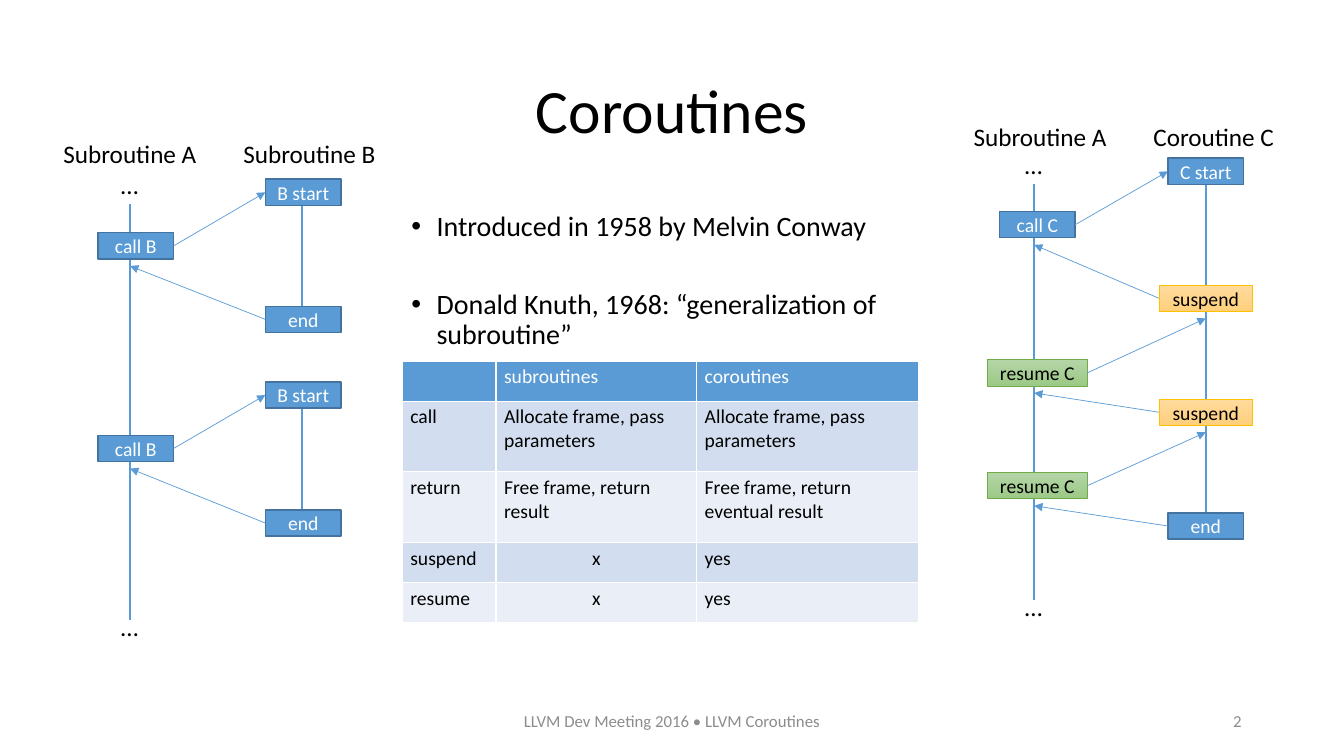
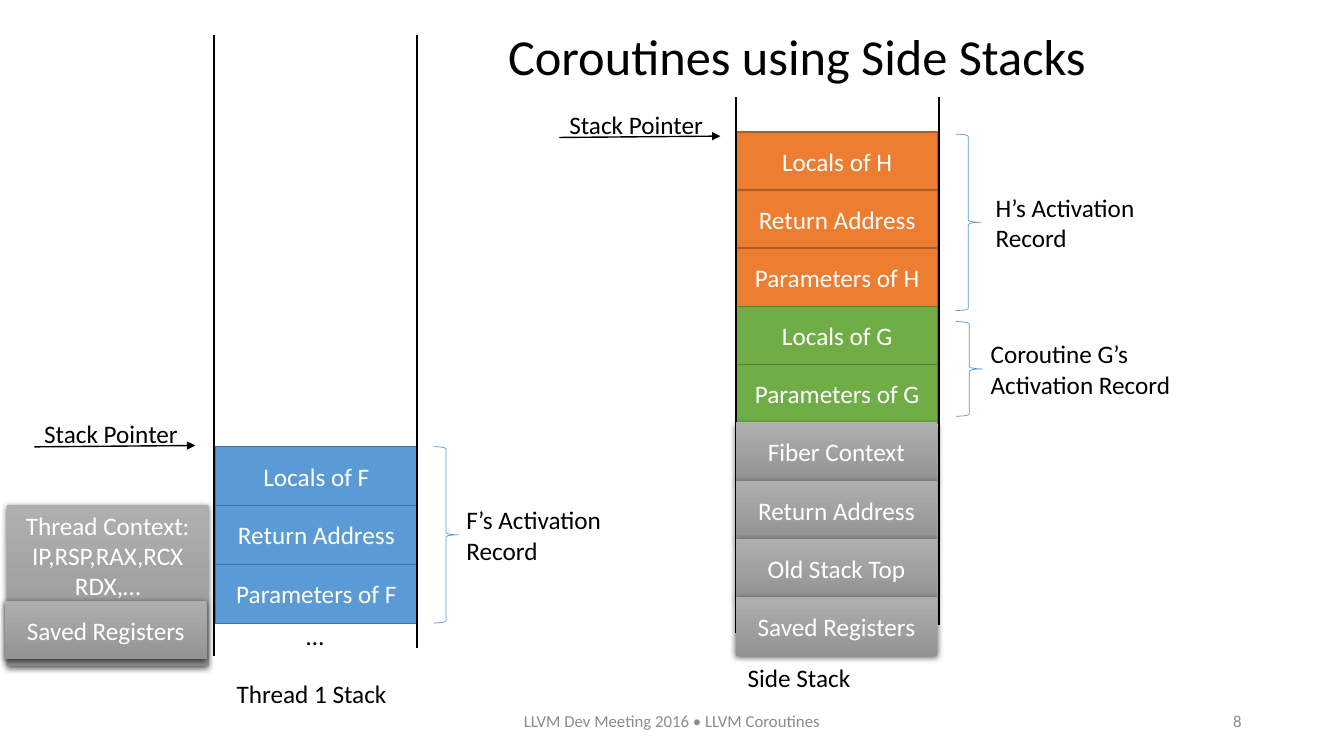
from lxml import etree
from pptx import Presentation
from pptx.dml.color import RGBColor
from pptx.enum import shapes, text
from pptx.oxml import ns
from pptx.util import Pt


class Theme:
    """Fonts, sizes and colours of the deck."""
    font = "Calibri"
    head, title, body, label, small, foot = 44, 36, 20, 18, 14, 12
    ink, white, dim, blue = "000000", "FFFFFF", "8C8C8C", "5B9BD5"
    bands = "D2DEEF", "EAEFF7"
    paint = {
        "blue": ((blue,), "43739E", 1, white),
        "orange": (("ED7D31",), "AF5C24", 1, white),
        "green": (("70AD47",), "538035", 1, white),
        "gold": (("FFDB9E", "FFD07C"), "FFC000", 0.5, ink),
        "leaf": (("B5D5A7", "9CC987"), "70AD47", 0.5, ink),
        "grey": (("AFAFAF", "939393"), None, 0, white),
    }


LEFT, MID, RIGHT = text.PP_ALIGN.LEFT, text.PP_ALIGN.CENTER, text.PP_ALIGN.RIGHT
TOP, CENTER = text.MSO_ANCHOR.TOP, text.MSO_ANCHOR.MIDDLE


def rgb(code):
    """Turn a hex code into a colour."""
    return RGBColor.from_string(code)


def add(node, tag, **attrs):
    """Append a drawing element with attributes."""
    return etree.SubElement(node, ns.qn("a:" + tag), {k: str(v) for k, v in attrs.items()})


def write(frame, words, size=Theme.label, color=Theme.ink, align=LEFT,
          anchor=TOP, wrap=True, lead=None):
    """Fill a text frame with formatted words."""
    frame.text = words
    frame.word_wrap = wrap
    frame.auto_size = text.MSO_AUTO_SIZE.NONE
    frame.vertical_anchor = anchor
    for para in frame.paragraphs:
        para.alignment = align
        if lead:
            para.line_spacing = lead
        for run in para.runs:
            run.font.name, run.font.size, run.font.bold = Theme.font, Pt(size), False
            run.font.color.rgb = rgb(color)


def place(item, box):
    """Move an item into a box."""
    item.left, item.top, item.width, item.height = map(Pt, box)


def label(slide, box, words, wrap=False, **form):
    """Add a text box."""
    item = slide.shapes.add_textbox(*map(Pt, box))
    write(item.text_frame, words, wrap=wrap, **form)


def rect(slide, box, words, kind, size=Theme.label, anchor=CENTER):
    """Add a painted box with centred words."""
    fills, edge, width, ink = Theme.paint[kind]
    item = slide.shapes.add_shape(shapes.MSO_SHAPE.RECTANGLE, *map(Pt, box))
    item.shadow.inherit = False
    if len(fills) == 1:
        item.fill.solid()
        item.fill.fore_color.rgb = rgb(fills[0])
    else:
        item.fill.gradient()
        item.fill.gradient_angle = 270
        for stop, code in zip(item.fill.gradient_stops, fills):
            stop.color.rgb = rgb(code)
    if edge:
        item.line.color.rgb, item.line.width = rgb(edge), Pt(width)
    else:
        item.line.fill.background()
        glow = add(item._element.spPr.find(ns.qn("a:effectLst")), "outerShdw",
                   blurRad=Pt(4.5), dist=Pt(1.5), dir=5400000, algn="ctr", rotWithShape=0)
        add(add(glow, "srgbClr", val=Theme.ink), "alpha", val=63000)
    write(item.text_frame, words, size=size, color=ink, align=MID, anchor=anchor, wrap=False)


def line(slide, start, end, color=Theme.blue, width=1.5, arrow=False):
    """Draw a line, with an arrowhead at its end if asked."""
    item = slide.shapes.add_connector(shapes.MSO_CONNECTOR.STRAIGHT, *map(Pt, start + end))
    item.line.color.rgb, item.line.width = rgb(color), Pt(width)
    if arrow:
        add(item.line._get_or_add_ln(), "tailEnd", type="triangle")
    add(item._element.spPr, "effectLst")


def footer(slide, page):
    """Add the footer and page number."""
    form = dict(size=Theme.foot, color=Theme.dim, anchor=CENTER, wrap=True)
    label(slide, (318, 500.4, 324, 28.8), "LLVM Dev Meeting 2016 • LLVM Coroutines", align=MID, **form)
    label(slide, (678, 500.4, 216, 28.8), str(page), align=RIGHT, **form)


def start(deck, layout, box, words, page, **form):
    """Begin a slide with its title and footer."""
    slide = deck.slides.add_slide(deck.slide_layouts[layout])
    place(slide.shapes.title, box)
    write(slide.shapes.title.text_frame, words, **form)
    footer(slide, page)
    return slide


def points(slide, box, words):
    """Fill the body placeholder with bullets."""
    body = slide.placeholders[1]
    place(body, box)
    write(body.text_frame, "\n".join(words), size=Theme.body, lead=0.9)
    for para, gap in zip(body.text_frame.paragraphs, (10, 34)):
        para.space_before = Pt(gap)
        props = para._p.get_or_add_pPr()
        props.set("marL", str(Pt(18)))
        props.set("indent", str(Pt(-18)))


def grid(slide, spot, cols, rows, data):
    """Add a banded table."""
    box = (*spot, sum(cols), sum(rows))
    table = slide.shapes.add_table(len(rows), len(cols), *map(Pt, box)).table
    for col, width in zip(table.columns, cols):
        col.width = Pt(width)
    for r, (height, words) in enumerate(zip(rows, data)):
        table.rows[r].height = Pt(height)
        for c, word in enumerate(words):
            cell = table.cell(r, c)
            cell.margin_left = cell.margin_right = Pt(5.8)
            cell.margin_top = cell.margin_bottom = Pt(2.9)
            cell.fill.solid()
            cell.fill.fore_color.rgb = rgb(Theme.bands[(r - 1) % 2] if r else Theme.blue)
            write(cell.text_frame, word, size=Theme.small,
                  color=Theme.ink if r else Theme.white, align=MID if word == "x" else LEFT)


def flow(slide, spot, heads, shift, mids, nodes):
    """Draw two timelines, their steps and the jumps between them."""
    x, y = spot
    rails = x + 54.7, x + 177.3
    tall, gap = 18.7, 5
    styles = {"suspend": ("gold", 67), "resume": ("leaf", 71.3)}
    line(slide, (rails[0], y + 51), (rails[0], y + 348))
    highs, lows = ([y + top for _, word, top in nodes if word.split()[-1] == key]
                   for key in ("start", "end"))
    for high, low in zip(highs, lows):
        line(slide, (rails[1], high + tall), (rails[1], low))
    for dx, word in zip((0, 128.5), heads):
        label(slide, (x + shift[0] + dx, y + shift[1], 110.5, 28.8), word)
    for dy in (22.3, 338.4):
        label(slide, (x + 41, y + dy, 27.4, 28.8), "…")
    last = {}
    for side, word, top in nodes:
        verb = word.split()[0]
        kind, wide = styles.get(verb, ("blue", 54))
        left, top = x + mids[side] - wide / 2, y + top
        rect(slide, (left, top, wide, tall), word, kind, Theme.small)
        mid = top + tall / 2
        edge = left if side else left + wide
        if "start" in word:
            line(slide, last[0][:2], (edge, mid), width=0.5, arrow=True)
        elif verb != "call":
            other = 1 - side
            line(slide, (edge, mid), (rails[other], last[other][2] + gap), width=0.5, arrow=True)
        last[side] = edge, mid, top + tall


def block(slide, x, y, pitch, kind, names):
    """Stack equal cells downwards."""
    for i, name in enumerate(names):
        rect(slide, (x, y + i * pitch, 144, 42), name, kind)


def walls(slide, x, top, ends):
    """Draw the two sides of a stack."""
    for i, end in enumerate(ends):
        line(slide, (x + i * 145, top), (x + i * 145, end), color=Theme.ink)


def note(slide, box, words, gap, wide):
    """Add a brace and the words it points at."""
    x, y, width, height = box
    brace = slide.shapes.add_shape(shapes.MSO_SHAPE.RIGHT_BRACE, *map(Pt, box))
    brace.shadow.inherit = False
    brace.fill.background()
    brace.line.color.rgb, brace.line.width = rgb(Theme.blue), Pt(0.5)
    label(slide, (x + width + gap, y + height / 2 - 25.5, wide, 51), words, anchor=CENTER)


def pointer(slide, x, y):
    """Draw the stack pointer arrow under its name."""
    label(slide, (x, y, 111, 28.8), "Stack Pointer")
    line(slide, (x, y + 24), (x + 115, y + 23), color=Theme.ink, width=1, arrow=True)


def intro(deck):
    """Build the slide that compares subroutines and coroutines."""
    slide = start(deck, 1, (66, 28.8, 828, 104.4), "Coroutines", 2,
                  size=Theme.head, align=MID, anchor=CENTER, lead=0.9)
    flow(slide, (38.2, 95), ("Subroutine A", "Subroutine B"), (0, 0), (58.8, 178.4), [
        (0, "call B", 71.3), (1, "B start", 33), (1, "end", 123.8),
        (0, "call B", 216), (1, "B start", 177.8), (1, "end", 269.3)])
    flow(slide, (684, 80.6), ("Subroutine A", "Coroutine C"), (4.3, 2.2), (57, 177.3), [
        (0, "call C", 70.6), (1, "C start", 32.4), (1, "suspend", 123.1),
        (0, "resume C", 176.4), (1, "suspend", 204.5), (0, "resume C", 257),
        (1, "end", 285.8)])
    points(slide, (286.6, 148.3, 365, 75.6), [
        "Introduced in 1958 by Melvin Conway",
        "Donald Knuth, 1968: “generalization of subroutine”"])
    grid(slide, (287.3, 257.8), (67, 143.3, 158.4), (28.8, 50.4, 50.4, 28.8, 28.8), [
        ("", "subroutines", "coroutines"),
        ("call", "Allocate frame, pass parameters", "Allocate frame, pass parameters"),
        ("return", "Free frame, return result", "Free frame, return eventual result"),
        ("suspend", "x", "yes"),
        ("resume", "x", "yes")])


def stacks(deck):
    """Build the slide with the thread stack and the side stack."""
    slide = start(deck, 5, (355.7, 14.4, 550, 51), "Coroutines using Side Stacks", 8,
                  size=Theme.title)
    block(slide, 154, 319, 42.1, "blue", ("Locals of F", "Return Address", "Parameters of F"))
    walls(slide, 153, 25.2, (468.7, 463))
    note(slide, (309.6, 319, 18, 126), "F’s Activation\nRecord", -1.5, 111.6)
    label(slide, (211.7, 439.2, 27.4, 28.8), "…")
    label(slide, (162, 481, 122.4, 28.8), "Thread 1 Stack")
    pointer(slide, 24.5, 295.2)

    x, y, pitch = 526, 94.3, 41.5
    block(slide, x, y, pitch, "orange", ("Locals of H", "Return Address", "Parameters of H"))
    block(slide, x, y + 3 * pitch, pitch, "green", ("Locals of G", "Parameters of G"))
    walls(slide, x - 0.5, 69, (452, 446.4))
    block(slide, x - 0.5, y + 5 * pitch, pitch, "grey",
          ("Fiber Context", "Return Address", "Old Stack Top", "Saved Registers"))
    note(slide, (682.6, 95.8, 18, 126), "H’s Activation\nRecord", 3.5, 115.2)
    note(slide, (682.6, 229.7, 19.4, 67.7), "Coroutine G’s\vActivation Record", -1.5, 144.7)
    label(slide, (527, 469.4, 88.6, 28.8), "Side Stack")
    pointer(slide, 399.6, 74.2)

    rect(slide, (5, 360.7, 144, 115.2),
         "Thread Context:\nIP,RSP,RAX,RCX\nRDX,…", "grey", anchor=TOP)
    block(slide, 3.6, 429, 42, "grey", ("Saved Registers",))


deck = Presentation()
deck.slide_width, deck.slide_height = Pt(960), Pt(540)
intro(deck)
stacks(deck)
deck.save("out.pptx")
